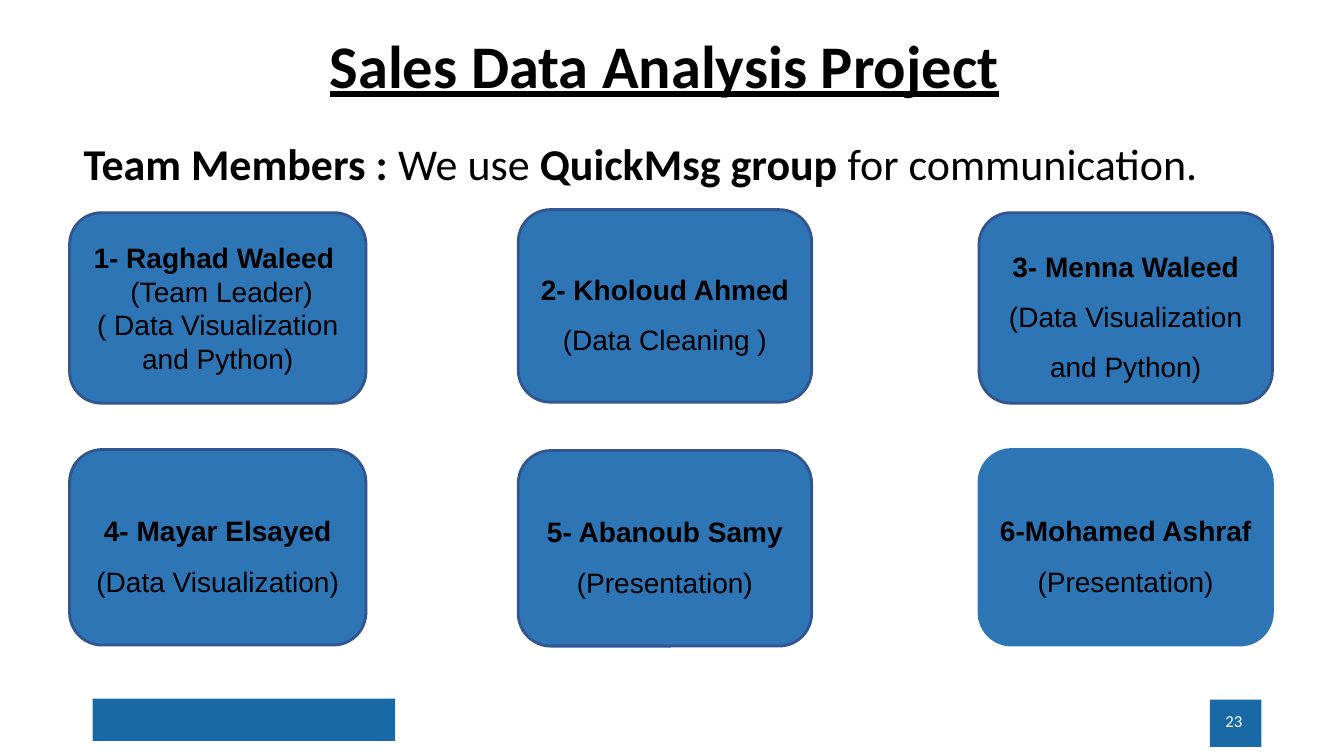
from dataclasses import dataclass

from pptx import Presentation
from pptx import util as u
from pptx.dml.color import RGBColor
from pptx.enum import shapes, text

PX = 9144  # 100 px to the inch
COLORS = {
    "bar": "1869A6",
    "card": "2E75B6",
    "card_line": "325491",
    "ink": "000000",
    "white": "FFFFFF",
}


@dataclass(frozen=True)
class Box:
    left: int
    top: int
    width: int
    height: int

    def emu(self) -> list[u.Emu]:
        return [u.Emu(v * PX) for v in (self.left, self.top, self.width, self.height)]


@dataclass(frozen=True)
class Run:
    text: str
    bold: bool = False


Paragraphs = list[list[Run]]


@dataclass(frozen=True)
class Card:
    box: Box
    paragraphs: Paragraphs
    spacing: float = 1.5
    line: str = "card_line"


def rgb(name: str) -> RGBColor:
    return RGBColor.from_string(COLORS[name])


def write(sp, paragraphs: Paragraphs, *, size: float, font: str = "Calibri",
          color: str = "ink", align=text.PP_ALIGN.CENTER,
          anchor=text.MSO_ANCHOR.TOP, spacing: float = 1.0,
          underline: bool = False, indent: int = 0) -> None:
    tf = sp.text_frame
    tf.word_wrap = True
    tf.vertical_anchor = anchor
    for i, runs in enumerate(paragraphs):
        p = tf.add_paragraph() if i else tf.paragraphs[0]
        p.alignment = align
        p.line_spacing = spacing
        if indent:
            p_pr = p._p.get_or_add_pPr()
            p_pr.set("marL", str(indent * PX))
            p_pr.set("indent", "0")
        for run in runs:
            r = p.add_run()
            r.text = run.text
            r.font.name = font
            r.font.size = u.Pt(size)
            r.font.bold = run.bold
            r.font.underline = underline
            r.font.color.rgb = rgb(color)


def add_panel(s, kind, box: Box, fill: str, line: str | None = None):
    sp = s.shapes.add_shape(kind, *box.emu())
    sp.shadow.inherit = False
    sp.fill.solid()
    sp.fill.fore_color.rgb = rgb(fill)
    if line:
        sp.line.color.rgb = rgb(line)
        sp.line.width = u.Pt(2)
    else:
        sp.line.fill.background()
    return sp


def add_text(s, box: Box, runs: list[Run], **style) -> None:
    write(s.shapes.add_textbox(*box.emu()), [runs], **style)


def add_card(s, card: Card) -> None:
    sp = add_panel(s, shapes.MSO_SHAPE.ROUNDED_RECTANGLE, card.box, "card", card.line)
    write(sp, card.paragraphs, size=20, font="Arial", spacing=card.spacing,
          anchor=text.MSO_ANCHOR.MIDDLE)


def member(name: str, role: str) -> Paragraphs:
    return [[Run(name, True), Run(role)]]


LEFT, MIDDLE, RIGHT = (69, 294), (514, 291), (971, 291)
UPPER, LOWER = (211, 189), (446, 194)


def cell(column: tuple[int, int], row: tuple[int, int]) -> Box:
    return Box(column[0], row[0], column[1], row[1])


CARDS = [
    Card(cell(LEFT, UPPER), [[Run("1- Raghad Waleed ", True)],
                             [Run(" (Team Leader)")],
                             [Run("( Data Visualization and Python)")]], spacing=1.0),
    Card(cell(MIDDLE, (208, 191)), [[Run("2- Kholoud Ahmed ", True)],
                                    [Run("(Data Cleaning )")]]),
    Card(cell(RIGHT, UPPER), member("3- Menna Waleed ", "(Data Visualization and Python)")),
    Card(cell(LEFT, LOWER), member("4- Mayar Elsayed ", "(Data Visualization)")),
    Card(cell(MIDDLE, (447, 194)), member("5- Abanoub Samy ", "(Presentation)")),
    Card(cell(RIGHT, LOWER), member("6-Mohamed Ashraf ", "(Presentation)"), line="card"),
]
FOOTER_BARS = [Box(92, 693, 300, 42), Box(1200, 694, 51, 47)]


def main() -> None:
    prs = Presentation()
    prs.slide_width, prs.slide_height = u.Emu(1333 * PX), u.Emu(750 * PX)
    s = prs.slides.add_slide(prs.slide_layouts[6])

    for bar in FOOTER_BARS:
        add_panel(s, shapes.MSO_SHAPE.RECTANGLE, bar, "bar")
    add_text(s, Box(281, 31, 756, 79), [Run("Sales Data Analysis Project", True)],
             size=43.2, spacing=0.9, underline=True)
    add_text(s, Box(23, 104, 1271, 92),
             [Run("Team Members : ", True), Run("We use "),
              Run("QuickMsg group ", True), Run("for communication.")],
             size=31.4, spacing=1.5, align=text.PP_ALIGN.LEFT, indent=50)
    add_text(s, Box(942, 695, 300, 40), [Run("23")], size=12, color="white",
             align=text.PP_ALIGN.RIGHT, anchor=text.MSO_ANCHOR.MIDDLE)
    for card in CARDS:
        add_card(s, card)

    prs.save("out.pptx")


if __name__ == "__main__":
    main()
